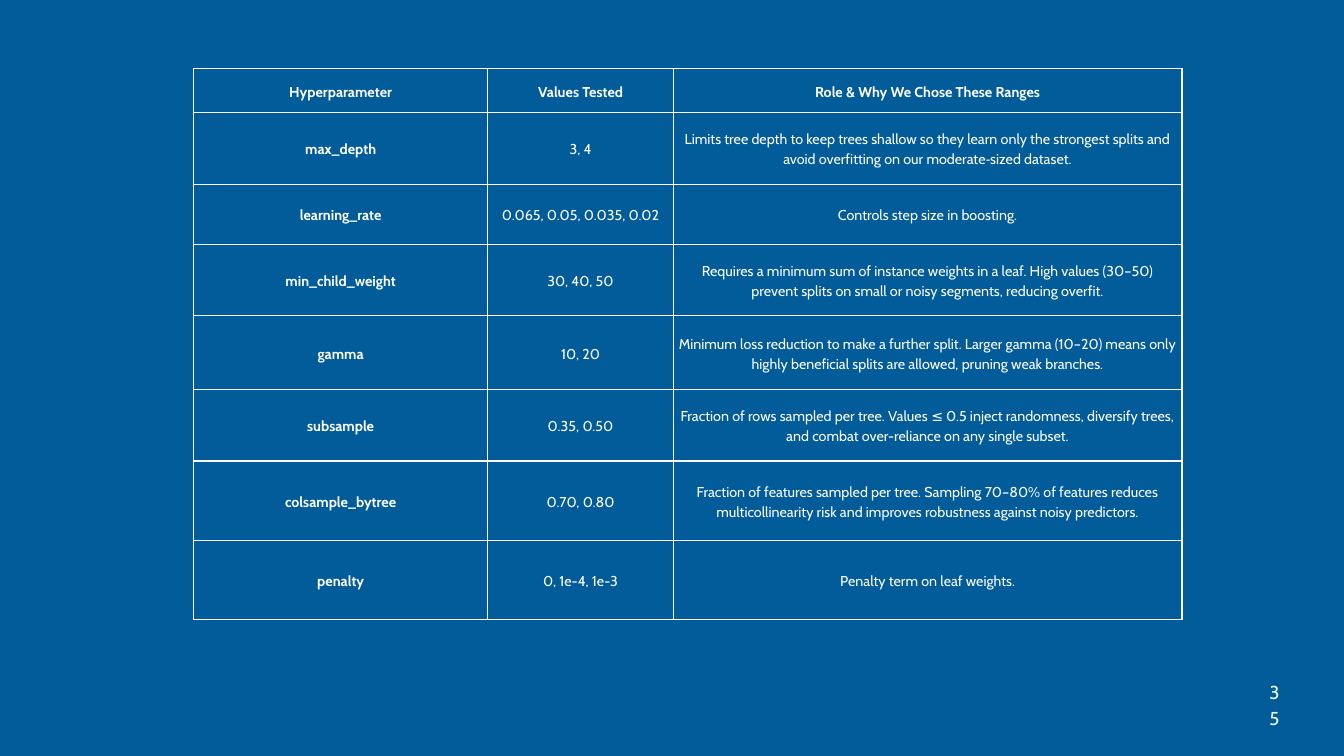
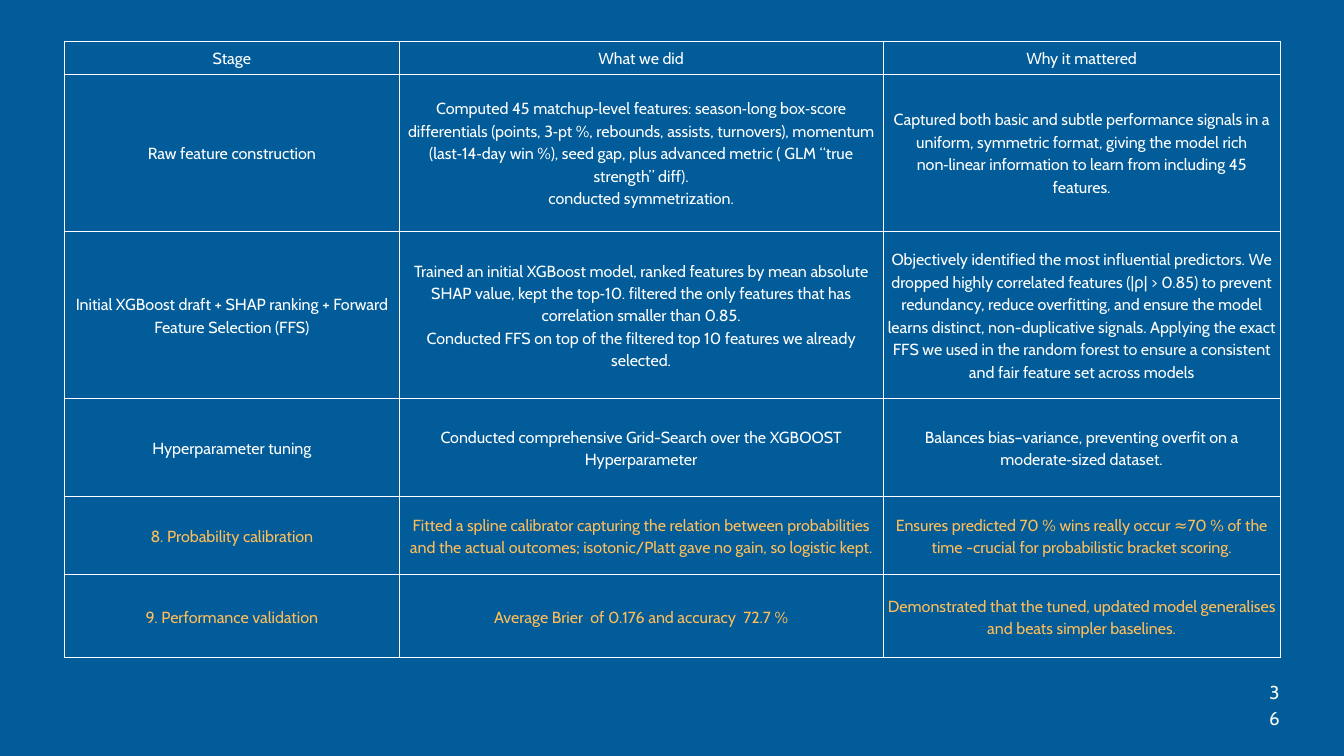
from lxml import etree
from pptx import Presentation
from pptx.dml.color import RGBColor
from pptx.enum.text import MSO_ANCHOR, PP_ALIGN
from pptx.oxml.ns import qn
from pptx.util import Pt

PX = 9144
FONT = "Cabin"
BLUE = RGBColor(0x01, 0x5C, 0x99)
WHITE = RGBColor(0xFF, 0xFF, 0xFF)
MINT_WHITE = RGBColor(0xF3, 0xF9, 0xF4)
AMBER = RGBColor(0xFF, 0xBD, 0x59)
CENTER = PP_ALIGN.CENTER
MIDDLE = MSO_ANCHOR.MIDDLE
BLANK_LAYOUT = 6

HYPERPARAMETERS = [
    ("Hyperparameter", "Values Tested", "Role & Why We Chose These Ranges"),
    ("max_depth", "3, 4",
     "Limits tree depth to keep trees shallow so they learn only the strongest "
     "splits and avoid overfitting on our moderate‐sized dataset."),
    ("learning_rate", "0.065, 0.05, 0.035, 0.02", "Controls step size in boosting."),
    ("min_child_weight", "30, 40, 50",
     "Requires a minimum sum of instance weights in a leaf. High values (30–50) "
     "prevent splits on small or noisy segments, reducing overfit."),
    ("gamma", "10, 20",
     "Minimum loss reduction to make a further split. Larger gamma (10–20) means "
     "only highly beneficial splits are allowed, pruning weak branches."),
    ("subsample", "0.35, 0.50",
     "Fraction of rows sampled per tree. Values ≤ 0.5 inject randomness, diversify "
     "trees, and combat over-reliance on any single subset."),
    ("colsample_bytree", "0.70, 0.80",
     "Fraction of features sampled per tree. Sampling 70–80% of features reduces "
     "multicollinearity risk and improves robustness against noisy predictors."),
    ("penalty", "0, 1e-4, 1e-3", "Penalty term on leaf weights."),
]

STAGES = [
    ("Stage", "What we did", "Why it mattered"),
    ("Raw feature construction",
     "Computed 45 matchup‑level features: season‑long box‑score differentials "
     "(points, 3‑pt %, rebounds, assists, turnovers), momentum (last‑14‑day win %), "
     "seed gap, plus advanced metric ( GLM “true strength” diff).\n"
     "conducted symmetrization.",
     "Captured both basic and subtle performance signals in a uniform, symmetric "
     "format, giving the model rich non‑linear information to learn from including "
     "45 features."),
    ("Initial XGBoost draft + SHAP ranking + Forward Feature Selection (FFS)",
     "Trained an initial XGBoost model, ranked features by mean absolute SHAP value, "
     "kept the top‑10. filtered the only features that has correlation smaller than "
     "0.85.\n"
     "Conducted FFS on top of the filtered top 10 features we already selected.",
     "Objectively identified the most influential predictors. We dropped highly "
     "correlated features (|ρ| > 0.85) to prevent redundancy, reduce overfitting, and "
     "ensure the model learns distinct, non-duplicative signals. Applying the exact "
     "FFS we used in the random forest to ensure a consistent and fair feature set "
     "across models"),
    ("Hyperparameter tuning",
     "Conducted comprehensive Grid-Search over the XGBOOST Hyperparameter",
     "Balances bias–variance, preventing overfit on a moderate‑sized dataset."),
    ("8. Probability calibration",
     "Fitted a spline calibrator capturing the relation between probabilities and the "
     "actual outcomes; isotonic/Platt gave no gain, so logistic kept.",
     "Ensures predicted 70 % wins really occur ≈70 % of the time -crucial for "
     "probabilistic bracket scoring."),
    ("9. Performance validation",
     "Average Brier  of 0.176 and accuracy  72.7 %",
     "Demonstrated that the tuned, updated model generalises and beats simpler "
     "baselines."),
]
FIRST_AMBER_ROW = 4


def write_text(text_frame, text, size, line_spacing, color=WHITE, bold=False):
    for index, line in enumerate(text.split("\n")):
        paragraph = text_frame.add_paragraph() if index else text_frame.paragraphs[0]
        paragraph.alignment = CENTER
        paragraph.line_spacing = Pt(line_spacing)
        run = paragraph.add_run()
        run.text = line
        run.font.name = FONT
        run.font.size = Pt(size)
        run.font.bold = bold
        run.font.color.rgb = color


def set_borders(cell, width):
    properties = cell._tc.get_or_add_tcPr()
    for side in ("a:lnL", "a:lnR", "a:lnT", "a:lnB"):
        line = etree.SubElement(properties, qn(side), w=str(Pt(width)))
        fill = etree.SubElement(line, qn("a:solidFill"))
        etree.SubElement(fill, qn("a:srgbClr"), val=str(WHITE))


class Deck:
    def __init__(self):
        self.presentation = Presentation()
        self.presentation.slide_width = 2000 * PX
        self.presentation.slide_height = 1125 * PX
        self.slide = None

    def add_slide(self, number):
        layout = self.presentation.slide_layouts[BLANK_LAYOUT]
        self.slide = self.presentation.slides.add_slide(layout)
        self.slide.background.fill.solid()
        self.slide.background.fill.fore_color.rgb = BLUE
        self.add_page_number(number)

    def add_page_number(self, number):
        box = self.slide.shapes.add_textbox(1888 * PX, 1007 * PX, 17 * PX, 22 * PX)
        text_frame = box.text_frame
        text_frame.word_wrap = True
        text_frame.margin_left = text_frame.margin_right = 0
        text_frame.margin_top = text_frame.margin_bottom = 0
        write_text(text_frame, str(number), 20, 28, MINT_WHITE)

    def add_table(self, rows, left, top, widths, heights, margin, border, text_format):
        shape = self.slide.shapes.add_table(
            len(rows), len(widths), left * PX, top * PX,
            sum(widths) * PX, sum(heights) * PX)
        table = shape.table
        table.first_row = table.horz_banding = False
        for column, width in zip(table.columns, widths):
            column.width = width * PX
        for row, height in zip(table.rows, heights):
            row.height = height * PX
        for row_index, texts in enumerate(rows):
            for column_index, text in enumerate(texts):
                cell = table.cell(row_index, column_index)
                cell.vertical_anchor = MIDDLE
                cell.margin_left = cell.margin_right = margin * PX
                cell.margin_top = cell.margin_bottom = margin * PX
                set_borders(cell, border)
                cell.fill.background()
                write_text(cell.text_frame, text, **text_format(row_index, column_index))


def hyperparameter_format(row, column):
    return {"size": 15.3, "line_spacing": 21.4, "bold": row == 0 or column == 0}


def stage_format(row, column):
    color = AMBER if row >= FIRST_AMBER_ROW else WHITE
    return {"size": 17.2, "line_spacing": 24.1, "color": color}


def main():
    deck = Deck()
    deck.add_slide(35)
    deck.add_table(HYPERPARAMETERS, 288, 102, [438, 276, 757],
                   [66, 106, 90, 106, 110, 106, 118, 118], 8, 1.5,
                   hyperparameter_format)
    deck.add_slide(36)
    deck.add_table(STAGES, 96, 61, [498, 720, 591],
                   [49, 234, 249, 146, 116, 124], 5, 0.75, stage_format)
    deck.presentation.save("out.pptx")


if __name__ == "__main__":
    main()
